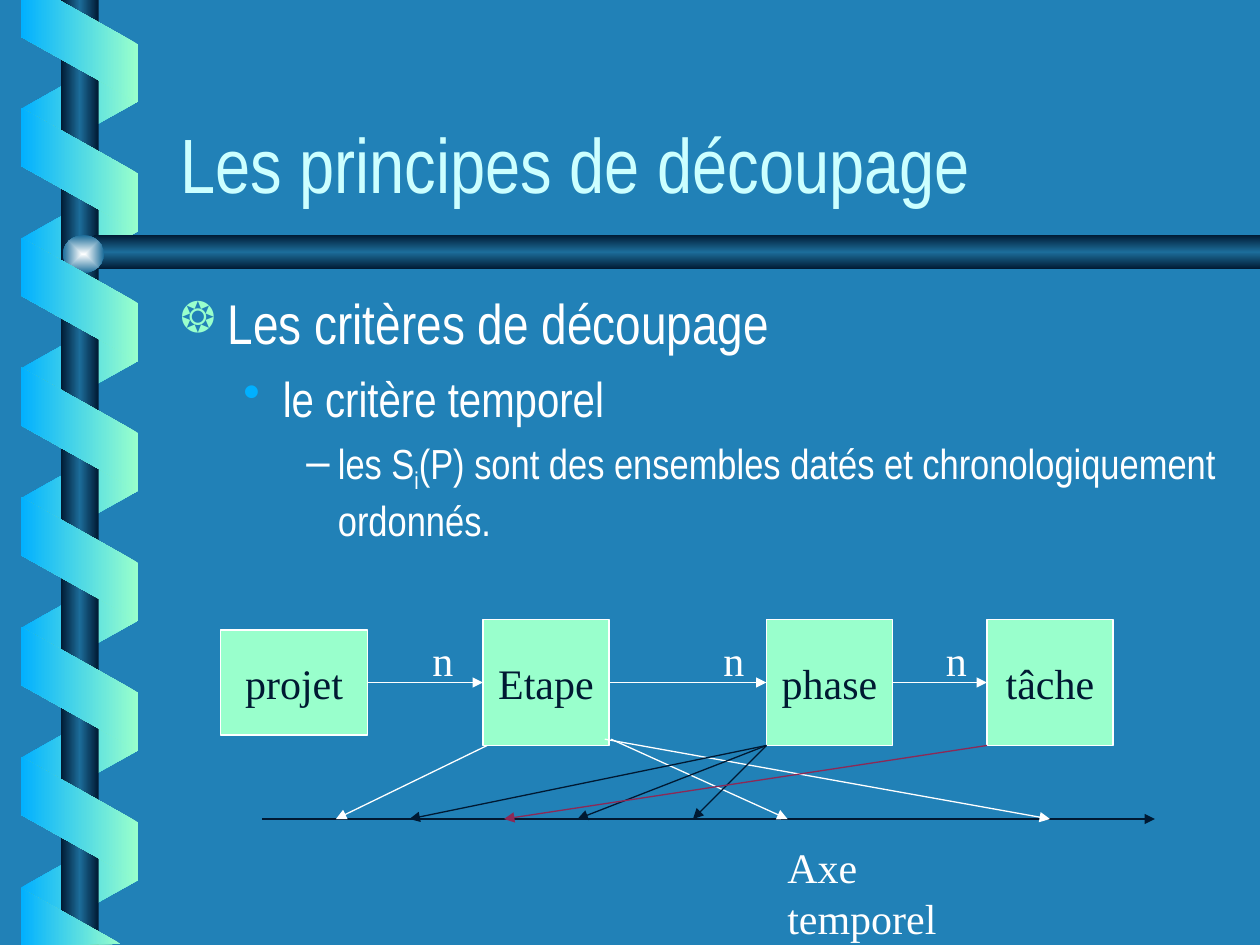
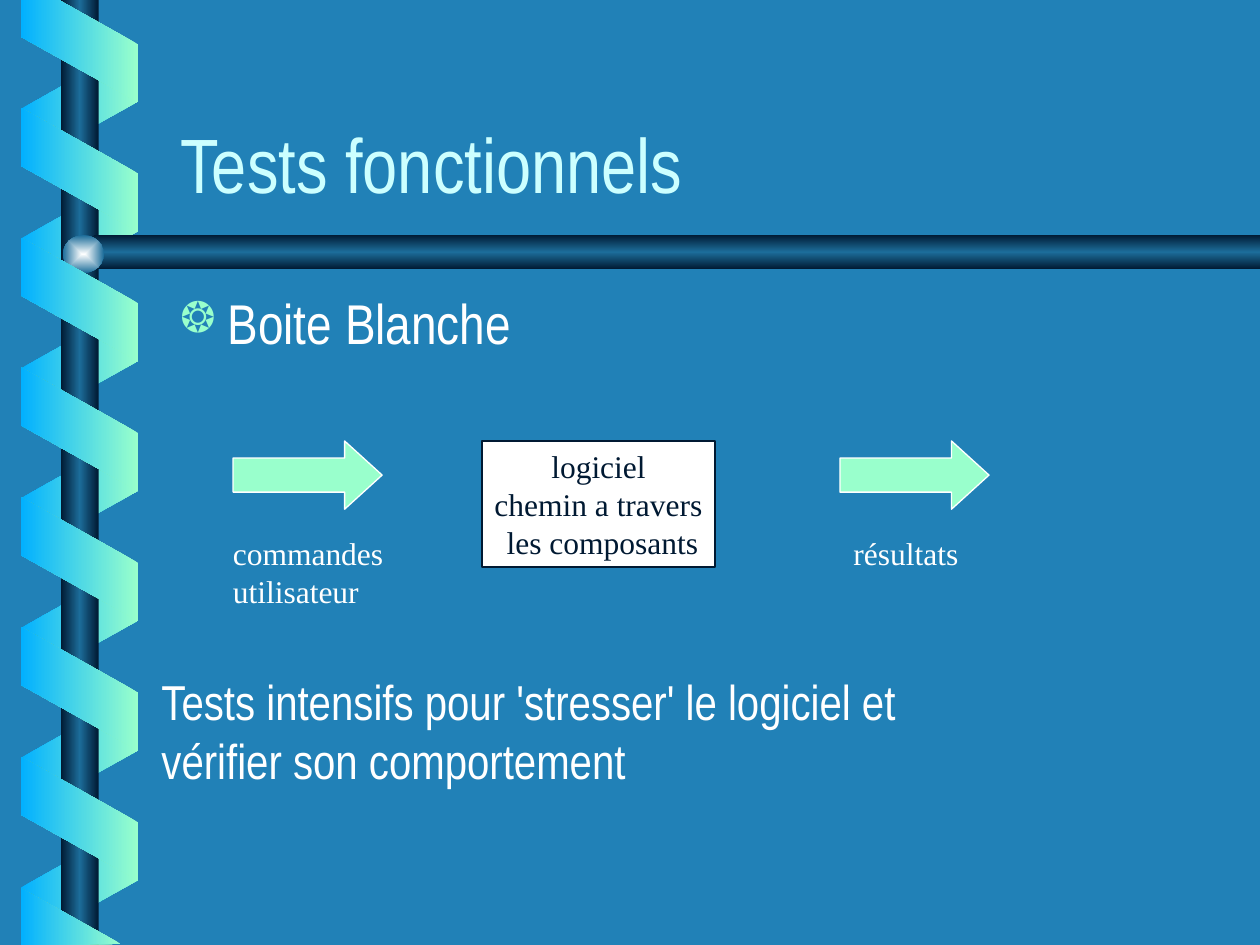
from lxml.etree import SubElement
from pptx import Presentation
from pptx.dml.color import RGBColor
from pptx.enum.shapes import MSO_CONNECTOR, MSO_SHAPE
from pptx.enum.text import MSO_ANCHOR, PP_ALIGN
from pptx.oxml import parse_xml
from pptx.oxml.ns import nsdecls, qn
from pptx.util import Emu, Inches, Pt

COLORS = {
    "background": "2181B7", "title": "CCFFFF", "white": "FFFFFF",
    "navy": "001932", "steel": "1C6D9A", "glow": "FEFFFF",
    "sky": "01B0FF", "mint": "99FFCC", "plum": "8D2956",
}
NARROW, SERIF = "Arial Narrow", "Times New Roman"
COLS, ROWS = 120, 90  # the slide as a grid of 1/12 inch cells
CELL = Inches(10) / COLS
BAR = [(0, "navy"), (50, "steel"), (100, "navy")]
RIBBON_FRONT = [(0, "mint"), (100, "sky")]
RIBBON_BACK = [(0, "sky"), (100, "mint")]
RIBBON_PITCH = 12.36
# level: indent, hanging, bullet, bullet colour, bullet size %, text size, space before
LEVELS = [
    (4.5, 4.5, "❂", "mint", 75, 32, 0),
    (9.75, 3.75, "•", "sky", 100, 28, 7),
    (15, 3, "–", "white", 100, 24, 6),
]


def u(cells):
    return Emu(round(cells * CELL))


def rgb(name):
    return RGBColor.from_string(COLORS[name])


# Fills and shapes

def gradient(sp, stops, angle=None):
    """Linear gradient, or one spreading from the centre when angle is None."""
    gs = "".join(f'<a:gs pos="{pos * 1000}"><a:srgbClr val="{COLORS[c]}"/></a:gs>'
                 for pos, c in stops)
    if angle is None:
        way = ('<a:path path="rect"><a:fillToRect l="50000" t="50000" '
               'r="50000" b="50000"/></a:path>')
    else:
        way = f'<a:lin ang="{angle * 60000}" scaled="0"/>'
    sp.fill.background()
    no_fill = sp._element.spPr.find(qn("a:noFill"))
    no_fill.getparent().replace(no_fill, parse_xml(
        f'<a:gradFill rotWithShape="0" {nsdecls("a")}><a:gsLst>{gs}</a:gsLst>{way}</a:gradFill>'))
    sp.line.fill.background()
    sp.shadow.inherit = False


def shape(s, kind, x, y, w, h, fill=None, line="white"):
    sp = s.shapes.add_shape(kind, u(x), u(y), u(w), u(h))
    sp.shadow.inherit = False
    if fill:
        sp.fill.solid()
        sp.fill.fore_color.rgb = rgb(fill)
        sp.line.color.rgb = rgb(line)
        sp.line.width = Pt(0.75)
    return sp


def polygon(s, points, stops, angle):
    (x, y), *rest = [(u(px), u(py)) for px, py in points]
    builder = s.shapes.build_freeform(x, y)
    builder.add_line_segments(rest, close=True)
    gradient(builder.convert_to_shape(), stops, angle)


def arrow(s, start, end, color="white"):
    c = s.shapes.add_connector(MSO_CONNECTOR.STRAIGHT, *map(u, start + end))
    c.line.color.rgb = rgb(color)
    c.line.width = Pt(0.75)
    SubElement(c.line._get_or_add_ln(), qn("a:tailEnd"), type="triangle")
    SubElement(c._element.spPr, qn("a:effectLst"))
    return c


# Text

def write(p, *texts, size=24, font=SERIF, color="white", align=None):
    """Fill a paragraph; every second text is a subscript."""
    p.alignment = align
    for i, text in enumerate(texts):
        r = p.add_run()
        r.text = text
        r.font.size, r.font.name = Pt(size), font
        r.font.color.rgb = rgb(color)
        if i % 2:
            r._r.get_or_add_rPr().set("baseline", "-25000")


def write_lines(tf, lines, **fmt):
    for i, line in enumerate(lines):
        write(tf.add_paragraph() if i else tf.paragraphs[0], line, **fmt)


def text_box(s, x, y, w, h, wrap=False, anchor=MSO_ANCHOR.TOP):
    tf = s.shapes.add_textbox(u(x), u(y), u(w), u(h)).text_frame
    tf.word_wrap, tf.vertical_anchor = wrap, anchor
    return tf


def label(s, x, y, w, h, *lines, wrap=False, **fmt):
    write_lines(text_box(s, x, y, w, h, wrap), lines, **fmt)


def box(s, x, y, w, h, *lines, fill="mint", line="white", size=24):
    sp = shape(s, MSO_SHAPE.RECTANGLE, x, y, w, h, fill, line)
    tf = sp.text_frame
    tf.word_wrap, tf.vertical_anchor = False, MSO_ANCHOR.MIDDLE
    write_lines(tf, lines, size=size, color="navy", align=PP_ALIGN.CENTER)
    return sp


def bullet(p, level, texts):
    indent, hanging, char, color, percent, size, before = LEVELS[level]
    pPr = p._p.get_or_add_pPr()
    pPr.set("marL", str(u(indent)))
    pPr.set("indent", str(-u(hanging)))
    SubElement(SubElement(pPr, qn("a:buClr")), qn("a:srgbClr"), val=COLORS[color])
    SubElement(pPr, qn("a:buSzPct"), val=str(percent * 1000))
    SubElement(pPr, qn("a:buChar"), char=char)
    p.space_before = Pt(before)
    write(p, *texts, size=size, font=NARROW)


# Shared slide frame

def ribbon(s, y, front):
    sp = shape(s, MSO_SHAPE.PARALLELOGRAM, 1.68, y, 11.76, 11.16)
    sp.adjustments[0] = 0.56
    sp.rotation = 270 if front else 90
    if not front:
        sp._element.spPr.find(qn("a:xfrm")).set("flipH", "1")
    gradient(sp, RIBBON_FRONT if front else RIBBON_BACK, 180)


def backdrop(s):
    s.background.fill.solid()
    s.background.fill.fore_color.rgb = rgb("background")
    for i in range(7):
        ribbon(s, 4.44 + i * RIBBON_PITCH, front=False)
    # Pole, crossbar and the ball joining them
    gradient(shape(s, MSO_SHAPE.RECTANGLE, 5.8, 0, 3.6, ROWS), BAR, 180)
    polygon(s, [(COLS, 22.35), (9.1, 22.35), (7.2, 24), (9.1, 25.65), (COLS, 25.65)], BAR, 90)
    gradient(shape(s, MSO_SHAPE.OVAL, 6, 22.4, 3.9, 3.6), [(0, "glow"), (100, "steel")])
    for i in range(6):
        ribbon(s, 10.56 + i * RIBBON_PITCH, front=True)
    # Ribbon ends cut by the slide's edges
    polygon(s, [(2, 0), (2, 3.5), (13.1, 9.7), (13.1, 4.2), (5.6, 0)], RIBBON_FRONT, 180)
    polygon(s, [(11.5, 89.9), (2, 84.6), (2, ROWS)], RIBBON_FRONT, 180)


def new_slide(prs, title, *items):
    s = prs.slides.add_slide(prs.slide_layouts[6])
    backdrop(s)
    tf = text_box(s, 16, 5.5, 102, 15, wrap=True, anchor=MSO_ANCHOR.BOTTOM)
    write(tf.paragraphs[0], title, size=44, font=NARROW, color="title")
    tf = text_box(s, 16, 26.9, 102, 54, wrap=True)
    for level, texts in enumerate(items):
        bullet(tf.add_paragraph() if level else tf.paragraphs[0], level, texts)
    return s


# Slides

def breakdown_slide(prs):
    s = new_slide(
        prs, "Les principes de découpage",
        ["Les critères de découpage"],
        ["le critère temporel"],
        ["les S", "i", "(P) sont des ensembles datés et chronologiquement ordonnés."])

    # Chain of one-to-many links
    chain = [box(s, 21, 60, 14, 10, "projet")]
    chain += [box(s, x, 59, 12, 12, name)
              for x, name in ((46, "Etape"), (73, "phase"), (94, "tâche"))]
    for left, right in zip(chain, chain[1:]):
        c = arrow(s, (0, 0), (0, 0))
        c.begin_connect(left, 3)
        c.end_connect(right, 1)
    for x in (40, 67.7, 88.9):
        label(s, x, 59.8, 4.4, 6, "n")

    # Time axis and the dates projected on it
    axis = 78
    arrow(s, (25, axis), (110, axis), "navy")
    label(s, 73.8, 79.6, 24.2, 6, "Axe temporel")
    projections = [
        ((46.4, 71), 32, "white"), ((58.2, 70.4), 75, "white"), ((57.6, 70.4), 100, "white"),
        ((73, 71), 39, "navy"), ((73, 71), 55, "navy"), ((73, 71), 66, "navy"),
        ((94, 71), 48, "plum"),
    ]
    for start, date, color in projections:
        arrow(s, start, (date, axis), color)


def tests_slide(prs):
    s = new_slide(prs, "Tests fonctionnels", ["Boite Blanche"])
    for x in (22.2, 80):
        sp = shape(s, MSO_SHAPE.RIGHT_ARROW, x, 42, 14.2, 6.5, "mint")
        sp.adjustments[0], sp.adjustments[1] = 0.5, 0.55
    label(s, 21, 50.3, 16.7, 8.4, "commandes", "utilisateur", size=18)
    label(s, 80.1, 50.3, 12.4, 4.8, "résultats", size=18)
    box(s, 45.9, 42, 22.2, 12, "logiciel", "chemin a travers", " les composants",
        fill="white", line="navy", size=18)
    label(s, 14.2, 63.4, 94.3, 12.5, "Tests intensifs pour 'stresser' le logiciel et",
          "vérifier son comportement", wrap=True, size=28, font=NARROW)


def main():
    prs = Presentation()
    prs.slide_width, prs.slide_height = u(COLS), u(ROWS)
    breakdown_slide(prs)
    tests_slide(prs)
    prs.save("out.pptx")


if __name__ == "__main__":
    main()
